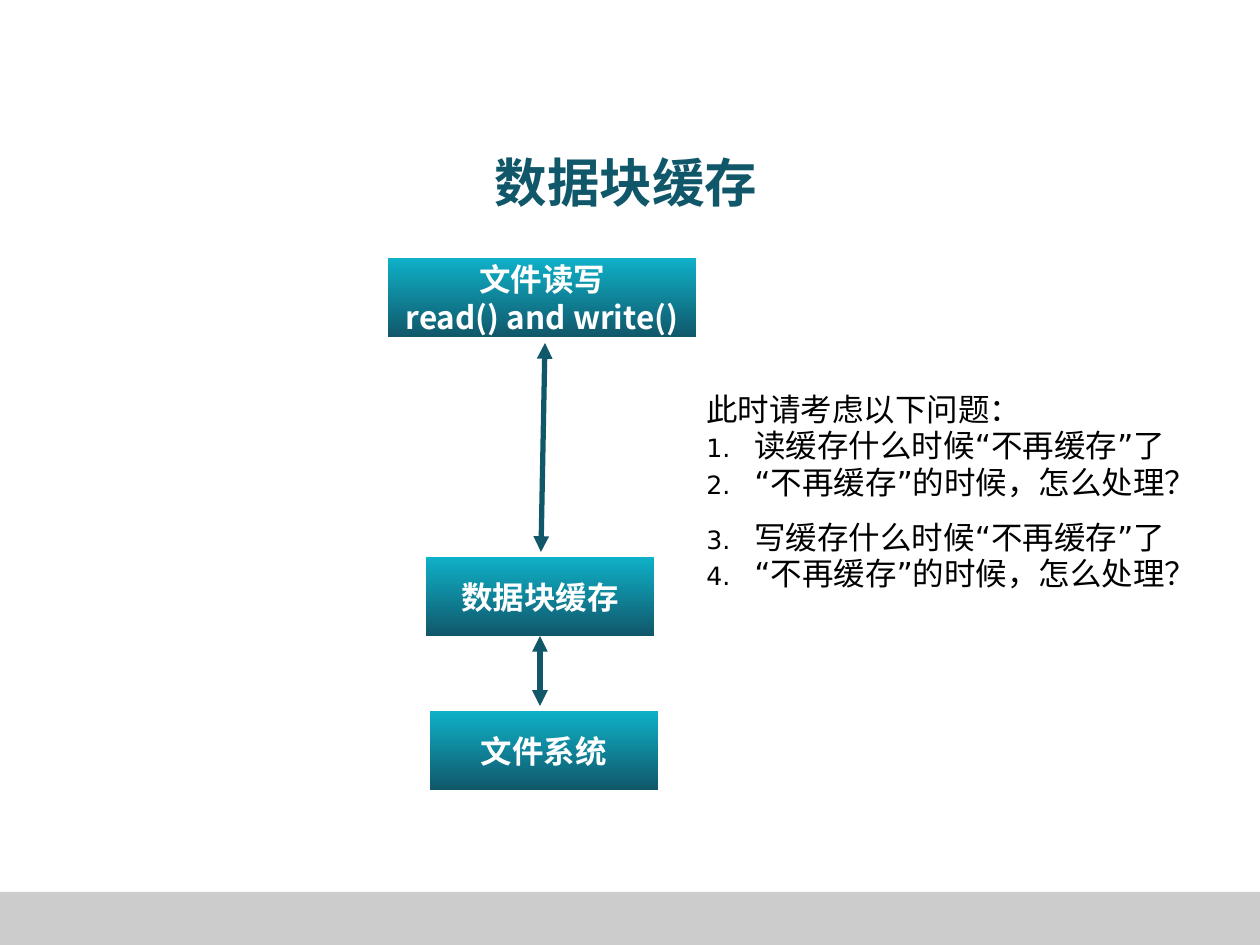
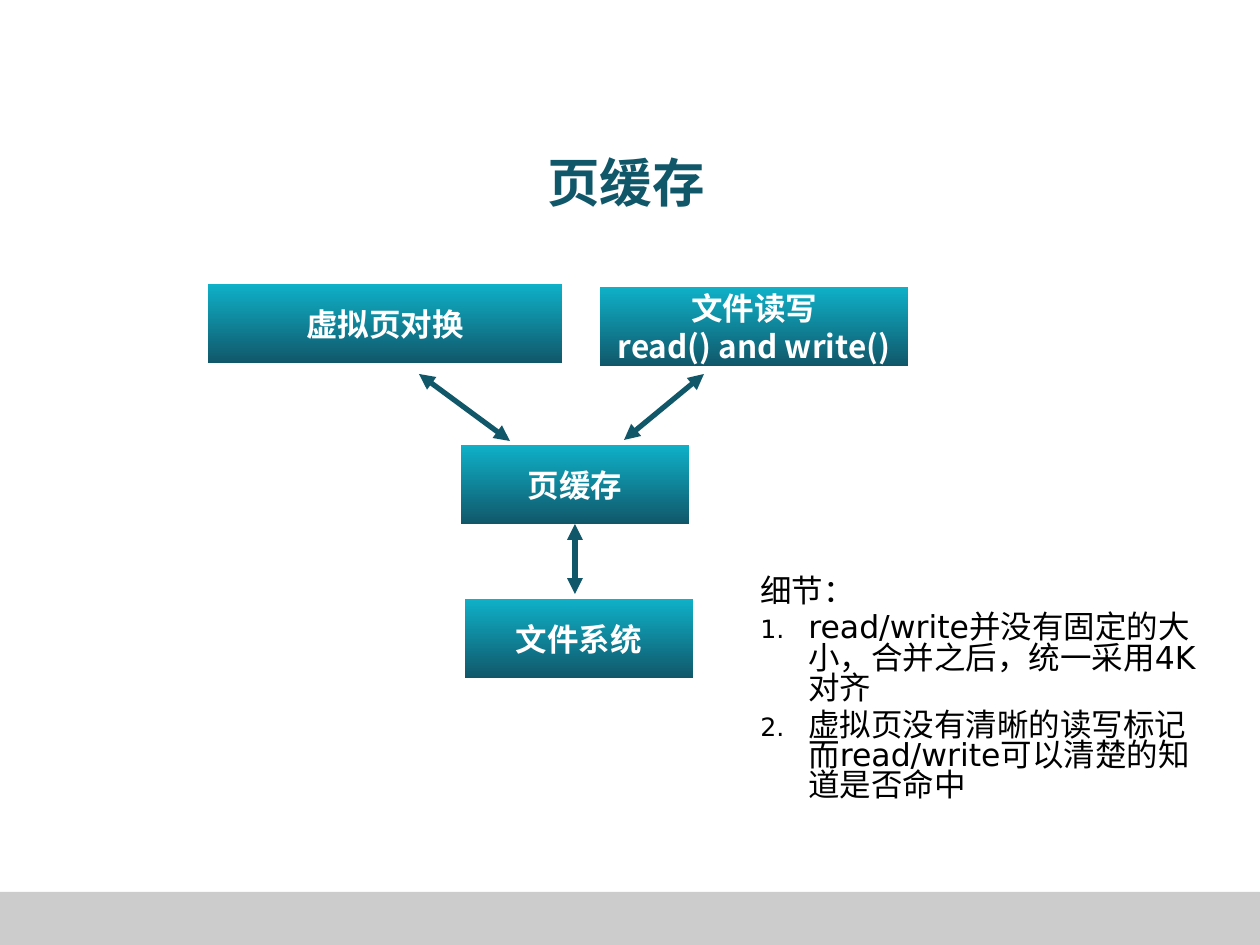
from lxml import etree
from pptx import Presentation
from pptx import util as u
from pptx.dml.color import RGBColor
from pptx.enum import shapes, text
from pptx.oxml.ns import qn

PX = 914400 / 126
DEEP, AQUA, GREY, WHITE, BLACK = "11576A", "0EB1C8", "CCCCCC", "FFFFFF", "000000"
HEAVY, PLAIN = "Noto Sans CJK SC", "DejaVu Sans"
RECT = shapes.MSO_SHAPE.RECTANGLE
LINE = shapes.MSO_CONNECTOR.STRAIGHT


def px(*nums):
    return [u.Emu(round(n * PX)) for n in nums]


def write(par, words, face, size, tint, bold=False):
    """Add one run, with the same face for Latin and Chinese letters."""
    run = par.add_run()
    run.text = words
    run.font.name, run.font.size, run.font.bold = face, u.Pt(size), bold
    run.font.color.rgb = RGBColor.from_string(tint)
    etree.SubElement(run.font._element, qn("a:ea"), typeface=face)


# Boxes: left, top, width, height, lines of text
# Links: start, end; a start given as one number is the bottom of that box
# Notes: left, top, width, height, heading, first number, items
READ = ["文件读写", "read() and write()"]
PAGES = [
    {
        "title": "数据块缓存",
        "boxes": [
            (388, 258, 308, 79, READ),
            (426, 557, 228, 79, ["数据块缓存"]),
            (430, 711, 228, 79, ["文件系统"]),
        ],
        "links": [((545, 343), (541, 552)), (1, (540, 706))],
        "notes": [
            (694, 391, 556, 120, "此时请考虑以下问题：", 1,
             ["读缓存什么时候“不再缓存”了", "“不再缓存”的时候，怎么处理？"]),
            (694, 519, 556, 82, None, 3,
             ["写缓存什么时候“不再缓存”了", "“不再缓存”的时候，怎么处理？"]),
        ],
    },
    {
        "title": "页缓存",
        "boxes": [
            (208, 284, 354, 79, ["虚拟页对换"]),
            (600, 287, 308, 79, READ),
            (461, 445, 228, 79, ["页缓存"]),
            (465, 599, 228, 79, ["文件系统"]),
        ],
        "links": [((419, 374), (510, 441)), ((624, 440), (704, 374)),
                  (2, (575, 594))],
        "notes": [
            (748, 572, 476, 242, "细节：", 1,
             ["read/write并没有固定的大小，合并之后，统一采用4K对齐",
              "虚拟页没有清晰的读写标记而read/write可以清楚的知道是否命中"]),
        ],
    },
]

deck = Presentation()
deck.slide_width, deck.slide_height = px(1260, 945)
layout = deck.slide_layouts[5]
slides = [deck.slides.add_slide(layout) for page in PAGES]

# The footer band is drawn once and moved to the layout
band = slides[0].shapes.add_shape(RECT, *px(0, 892, 1260, 53))
band.shadow.inherit = False
band.fill.solid()
band.fill.fore_color.rgb = RGBColor.from_string(GREY)
band.line.fill.background()
layout.shapes.element.insert(2, band.element)

for slide, page in zip(slides, PAGES):
    title = slide.shapes.title
    title.left, title.top, title.width, title.height = px(59, 150, 1134, 70)
    frame = title.text_frame
    frame.margin_top = frame.margin_bottom = 0
    frame.vertical_anchor = text.MSO_ANCHOR.TOP
    frame.auto_size = text.MSO_AUTO_SIZE.NONE
    frame.paragraphs[0].alignment = text.PP_ALIGN.CENTER
    write(frame.paragraphs[0], page["title"], HEAVY, 30, DEEP, True)

    boxes = []
    for *place, lines in page["boxes"]:
        box = slide.shapes.add_shape(RECT, *px(*place))
        box.shadow.inherit = False
        box.line.fill.background()
        box.fill.gradient()
        box.fill.gradient_angle = 270
        for stop, tint in zip(box.fill.gradient_stops, (AQUA, DEEP)):
            stop.color.rgb = RGBColor.from_string(tint)
        frame = box.text_frame
        frame.margin_left = frame.margin_right = 0
        frame.margin_top = frame.margin_bottom = 0
        frame.vertical_anchor = text.MSO_ANCHOR.MIDDLE
        for i, words in enumerate(lines):
            par = frame.add_paragraph() if i else frame.paragraphs[0]
            par.alignment = text.PP_ALIGN.CENTER
            write(par, words, HEAVY, 18, WHITE, True)
        boxes.append(box)

    for start, end in page["links"]:
        joined = isinstance(start, int)
        link = slide.shapes.add_connector(
            LINE, *px(*(end if joined else start), *end))
        if joined:
            link.begin_connect(boxes[start], 2)
        link.line.width = u.Pt(3)
        link.line.color.rgb = RGBColor.from_string(DEEP)
        for tip in ("a:headEnd", "a:tailEnd"):
            etree.SubElement(link.line._ln, qn(tip), type="triangle")
        etree.SubElement(link._element.spPr, qn("a:effectLst"))

    for *place, head, first, items in page["notes"]:
        frame = slide.shapes.add_textbox(*px(*place)).text_frame
        frame.word_wrap = True
        lines = [head] + items if head else items
        for i, words in enumerate(lines):
            par = frame.add_paragraph() if i else frame.paragraphs[0]
            par.line_spacing, par.space_before = 0.8, u.Pt(3.6)
            write(par, words, PLAIN, 18, BLACK)
            if words != head:
                props = par._p.get_or_add_pPr()
                indent = px(48)[0]
                props.set("marL", str(indent))
                props.set("indent", str(-indent))
                etree.SubElement(props, qn("a:buSzPct"), val="80000")
                etree.SubElement(props, qn("a:buAutoNum"),
                                 type="arabicPeriod", startAt=str(first))

deck.save("out.pptx")
